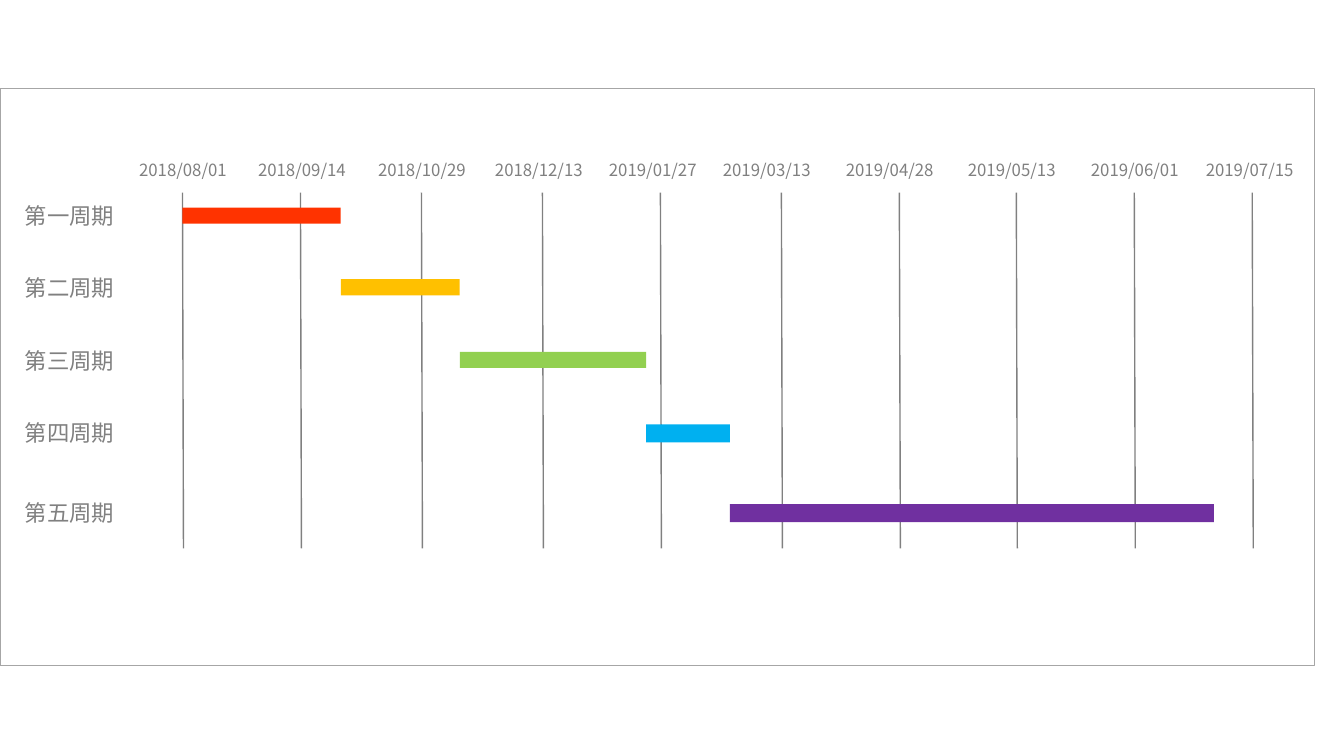
from dataclasses import dataclass

from lxml.etree import SubElement
from pptx import Presentation
from pptx.dml.color import RGBColor
from pptx.enum.shapes import MSO_CONNECTOR, MSO_SHAPE
from pptx.enum.text import MSO_AUTO_SIZE, PP_ALIGN
from pptx.oxml.ns import qn
from pptx.util import Inches, Pt


@dataclass(frozen=True)
class Theme:
    font: str = "Noto Sans CJK SC"
    gray: RGBColor = RGBColor(0x80, 0x80, 0x80)
    frame: RGBColor = RGBColor(0xA6, 0xA6, 0xA6)
    red: RGBColor = RGBColor(0xFF, 0x33, 0x00)
    amber: RGBColor = RGBColor(0xFF, 0xC0, 0x00)
    green: RGBColor = RGBColor(0x92, 0xD0, 0x50)
    blue: RGBColor = RGBColor(0x00, 0xB0, 0xF0)
    purple: RGBColor = RGBColor(0x70, 0x30, 0xA0)
    period_size: Pt = Pt(16)
    date_size: Pt = Pt(12)
    line_width: Pt = Pt(1)


theme = Theme()

presentation = Presentation()
presentation.slide_width = Inches(13.33)
presentation.slide_height = Inches(7.5)
slide = presentation.slides.add_slide(presentation.slide_layouts[6])


def add_label(text, left, top, width, height, size):
    box = slide.shapes.add_textbox(Inches(left), Inches(top), Inches(width), Inches(height))
    box.text_frame.word_wrap = False
    box.text_frame.auto_size = MSO_AUTO_SIZE.SHAPE_TO_FIT_TEXT
    paragraph = box.text_frame.paragraphs[0]
    paragraph.alignment = PP_ALIGN.CENTER
    run = paragraph.add_run()
    run.text = text
    run.font.size = size
    run.font.name = theme.font
    run.font.color.rgb = theme.gray
    # Chinese characters take their font from a:ea
    SubElement(run.font._element, qn("a:ea"), typeface=theme.font)


def add_rectangle(left, top, width, height):
    shape = slide.shapes.add_shape(
        MSO_SHAPE.RECTANGLE, Inches(left), Inches(top), Inches(width), Inches(height))
    shape.shadow.inherit = False
    return shape


frame = add_rectangle(0, 0.88, 13.04, 5.72)
frame.fill.background()
frame.line.color.rgb = theme.frame
frame.line.width = theme.line_width

# Date, left of its label, x of its grid line
dates = [
    ("2018/08/01", 1.25, 1.81),
    ("2018/09/14", 2.43, 2.98),
    ("2018/10/29", 3.62, 4.18),
    ("2018/12/13", 4.78, 5.38),
    ("2019/01/27", 5.91, 6.55),
    ("2019/03/13", 7.04, 7.75),
    ("2019/04/28", 8.26, 8.92),
    ("2019/05/13", 9.47, 10.08),
    ("2019/06/01", 10.69, 11.25),
    ("2019/07/15", 11.83, 12.42),
]
for date, label_left, line_x in dates:
    add_label(date, label_left, 1.54, 1.13, 0.3, theme.date_size)
    grid_line = slide.shapes.add_connector(
        MSO_CONNECTOR.STRAIGHT,
        Inches(line_x), Inches(1.91), Inches(line_x + 0.01), Inches(5.44))
    grid_line.line.color.rgb = theme.gray
    grid_line.line.width = theme.line_width
    SubElement(grid_line._element.spPr, qn("a:effectLst"))

# Period, top of its label, bar width, bar height, bar colour
periods = [
    ("第一周期", 1.96, 1.57, 0.16, theme.red),
    ("第二周期", 2.67, 1.18, 0.16, theme.amber),
    ("第三周期", 3.39, 1.85, 0.16, theme.green),
    ("第四周期", 4.11, 0.83, 0.18, theme.blue),
    ("第五周期", 4.9, 4.8, 0.18, theme.purple),
]
bar_left = 1.81
for period, top, bar_width, bar_height, color in periods:
    add_label(period, 0.14, top, 1.1, 0.37, theme.period_size)
    bar = add_rectangle(bar_left, top + 0.1, bar_width, bar_height)
    bar.fill.solid()
    bar.fill.fore_color.rgb = color
    bar.line.fill.background()
    bar_left += bar_width  # each period starts where the last one ends

presentation.save("out.pptx")
